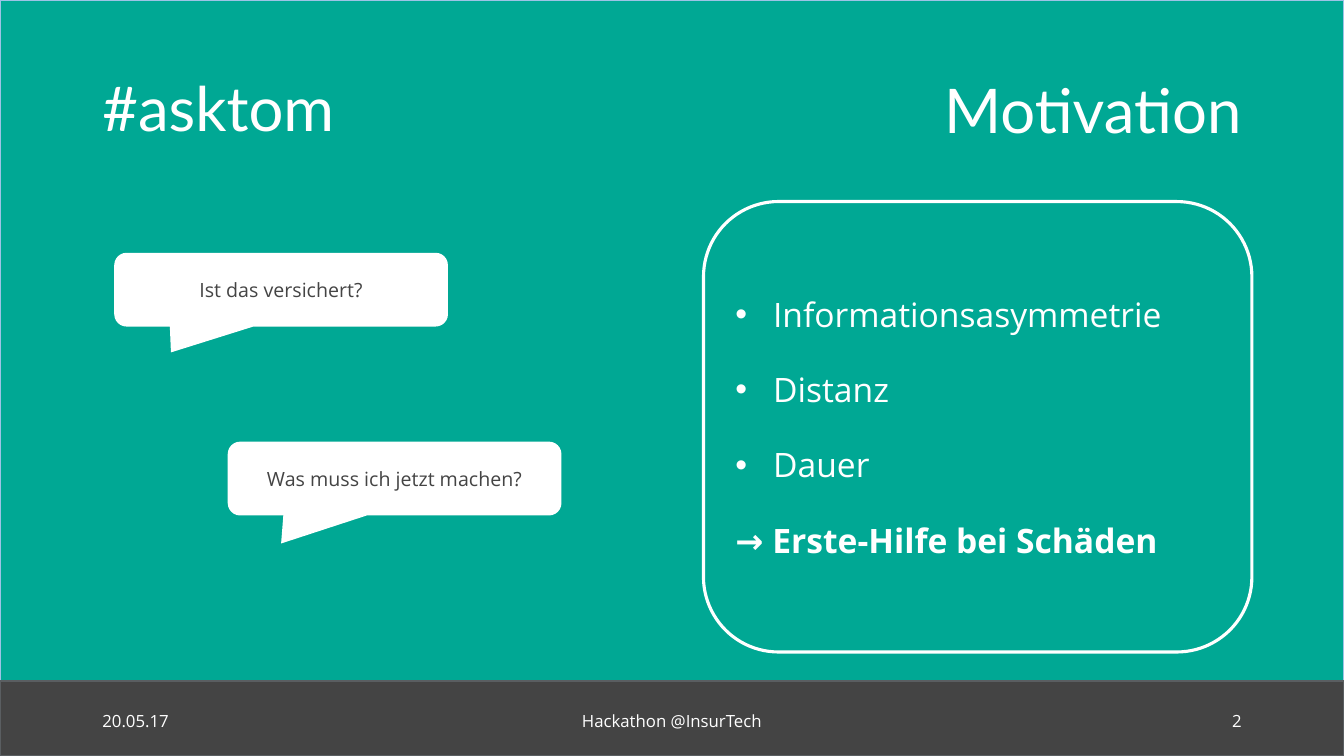
from lxml.etree import SubElement
from pptx import Presentation
from pptx.dml.color import RGBColor
from pptx.enum.shapes import MSO_SHAPE
from pptx.enum.text import MSO_ANCHOR, PP_ALIGN
from pptx.oxml.ns import qn
from pptx.util import Cm, Pt

WHITE = RGBColor(0xFF, 0xFF, 0xFF)
TEAL = RGBColor(0x00, 0xA8, 0x94)
DARK = RGBColor(0x44, 0x44, 0x44)
SLATE = RGBColor(0x5A, 0x5E, 0x61)
SKY = RGBColor(0x9D, 0xC3, 0xE6)

PAGE_WIDTH, PAGE_HEIGHT = Cm(33.87), Cm(19.05)
BAR_TOP = Cm(17.16)
MARGIN = Cm(2.33)
HEADING_FONT, BODY_FONT = "Lato", "Open Sans"


def add_bullet(para, indent):
    properties = para._p.get_or_add_pPr()
    properties.set("marL", str(indent))
    properties.set("indent", str(-indent))
    SubElement(properties, qn("a:buFont")).set("typeface", "Arial")
    SubElement(properties, qn("a:buChar")).set("char", "•")


def write(para, text, size=12, color=WHITE, font=BODY_FONT, bold=False,
          align=PP_ALIGN.LEFT, space_before=0):
    para.alignment = align
    para.space_before = Pt(space_before)
    span = para.add_run()
    span.text = text
    span.font.name = font
    span.font.size = Pt(size)
    span.font.bold = bold
    span.font.color.rgb = color


def add_box(page, kind, left, top, width, height, fill=None, line=None, line_width=1):
    box = page.shapes.add_shape(kind, left, top, width, height)
    box.shadow.inherit = False
    if fill is None:
        box.fill.background()
    else:
        box.fill.solid()
        box.fill.fore_color.rgb = fill
    if line is None:
        box.line.fill.background()
    else:
        box.line.color.rgb = line
        box.line.width = Pt(line_width)
    box.text_frame.vertical_anchor = MSO_ANCHOR.MIDDLE
    return box


def add_label(page, text, left, top, width, height, anchor=MSO_ANCHOR.MIDDLE, **style):
    frame = page.shapes.add_textbox(left, top, width, height).text_frame
    frame.word_wrap = True
    frame.vertical_anchor = anchor
    write(frame.paragraphs[0], text, **style)


def add_backdrop(page):
    panel = add_box(page, MSO_SHAPE.RECTANGLE, 0, 0, PAGE_WIDTH, PAGE_HEIGHT, TEAL, SKY)
    bar = add_box(page, MSO_SHAPE.RECTANGLE, 0, BAR_TOP, PAGE_WIDTH,
                  PAGE_HEIGHT - BAR_TOP, DARK, SLATE)
    for box in (panel, bar):
        page.shapes.title.element.addprevious(box.element)


def set_title(page, text):
    title = page.shapes.title
    title.left, title.top, title.width, title.height = Cm(13.94), Cm(1.02), Cm(17.6), Cm(3.68)
    title.text_frame.vertical_anchor = MSO_ANCHOR.MIDDLE
    para = title.text_frame.paragraphs[0]
    para.line_spacing = 0.9
    write(para, text, size=44, font=HEADING_FONT, align=PP_ALIGN.RIGHT)


def add_question(page, text, left, top, tail):
    bubble = add_box(page, MSO_SHAPE.ROUNDED_RECTANGULAR_CALLOUT,
                     left, top, Cm(8.41), Cm(1.86), WHITE)
    for index, value in enumerate(tail):
        bubble.adjustments[index] = value
    write(bubble.text_frame.paragraphs[0], text, size=14, color=DARK, align=PP_ALIGN.CENTER)


def add_motivation(page, points, conclusion):
    card = add_box(page, MSO_SHAPE.ROUNDED_RECTANGLE, Cm(17.73), Cm(5.08),
                   Cm(13.82), Cm(11.35), line=WHITE, line_width=2.25)
    frame = card.text_frame
    para = frame.paragraphs[0]
    for index, point in enumerate(points):
        add_bullet(para, Cm(0.95))
        write(para, point, size=24, space_before=25 if index else 0)
        para = frame.add_paragraph()
    write(para, conclusion, size=24, bold=True, space_before=25)


def add_footer(page, date, event, number):
    top, height, side, middle = Cm(17.66), Cm(1.01), Cm(7.62), Cm(11.43)
    add_label(page, date, MARGIN, top, side, height)
    add_label(page, event, (PAGE_WIDTH - middle) // 2, top, middle, height,
              align=PP_ALIGN.CENTER)
    add_label(page, number, PAGE_WIDTH - MARGIN - side, top, side, height,
              align=PP_ALIGN.RIGHT)


def main():
    deck = Presentation()
    deck.slide_width, deck.slide_height = PAGE_WIDTH, PAGE_HEIGHT
    page = deck.slides.add_slide(deck.slide_layouts.get_by_name("Title Only"))
    add_backdrop(page)
    set_title(page, "Motivation")
    add_label(page, "#asktom", MARGIN, Cm(1.63), Cm(7.21), Cm(2.13),
              anchor=MSO_ANCHOR.TOP, size=44, font=HEADING_FONT)
    add_question(page, "Ist das versichert?", Cm(2.88), Cm(6.37), (-0.33, 0.85))
    add_motivation(page, ["Informationsasymmetrie", "Distanz", "Dauer"],
                   "→ Erste-Hilfe bei Schäden")
    add_question(page, "Was muss ich jetzt machen?", Cm(5.74), Cm(11.13), (-0.34, 0.88))
    add_footer(page, "20.05.17", "Hackathon @InsurTech", "2")
    deck.save("out.pptx")


if __name__ == "__main__":
    main()
